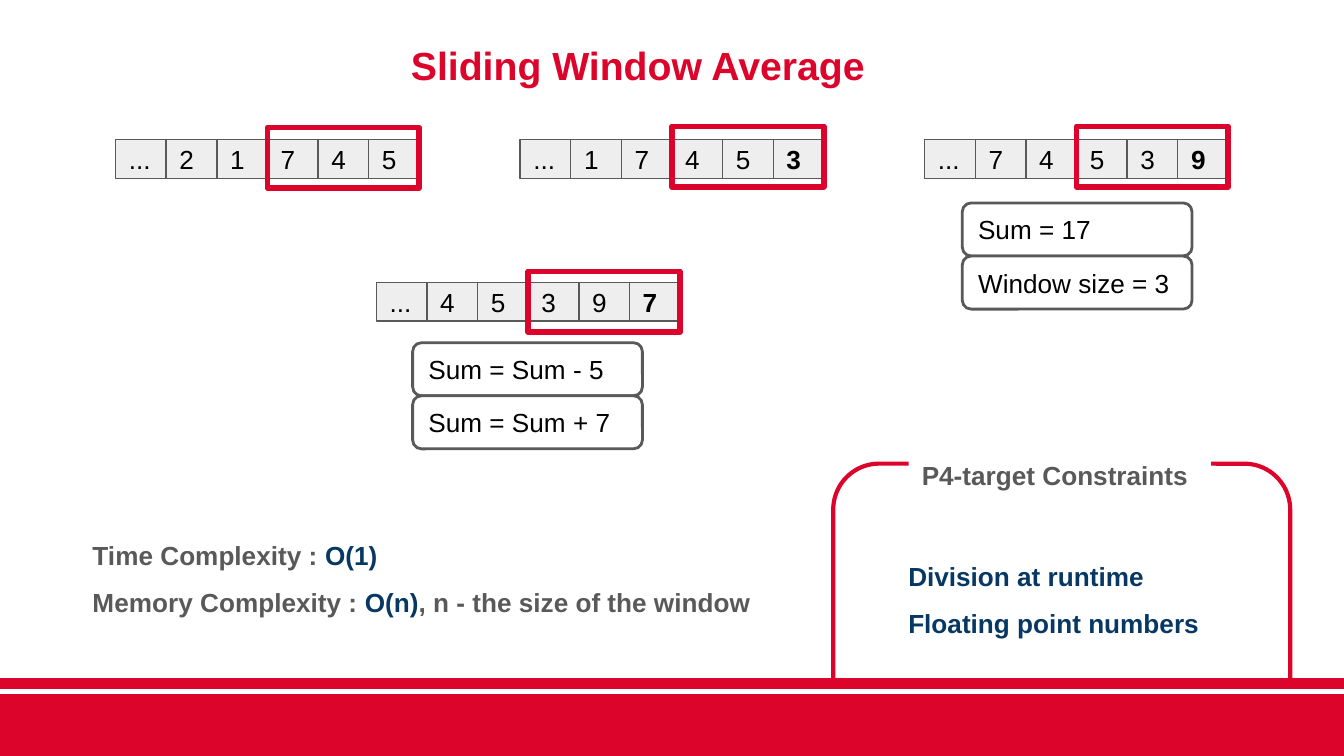
from pptx import Presentation
from pptx.dml.color import RGBColor
from pptx.enum.shapes import MSO_SHAPE
from pptx.enum.text import MSO_ANCHOR, MSO_AUTO_SIZE, PP_ALIGN
from pptx.util import Inches, Pt

RED, GRAY, NAVY = "DD042B", "595959", "073763"
WHITE, BLACK, PALE = "FFFFFF", "000000", "EEEEEE"
CELL = 1.13 / 3
NOTE = 0.79 / 2


def color(value):
    return RGBColor.from_string(value)


def write(para, text, size=14, ink=BLACK, bold=False):
    span = para.add_run()
    span.text = text
    span.font.name = "Arial"
    span.font.size = Pt(size)
    span.font.bold = bold
    span.font.color.rgb = color(ink)


class SlideBuilder:
    def __init__(self, page):
        self.page = page

    def shape(self, left, top, width, height, fill=None, line=None, weight=0.75,
              kind=MSO_SHAPE.RECTANGLE):
        box = self.page.shapes.add_shape(
            kind, Inches(left), Inches(top), Inches(width), Inches(height))
        box.shadow.inherit = False
        if fill:
            box.fill.solid()
            box.fill.fore_color.rgb = color(fill)
        else:
            box.fill.background()
        if line:
            box.line.color.rgb = color(line)
            box.line.width = Pt(weight)
        else:
            box.line.fill.background()
        return box

    def frame(self, box, anchor=MSO_ANCHOR.MIDDLE):
        frame = box.text_frame
        frame.word_wrap = True
        frame.vertical_anchor = anchor
        frame.margin_left = frame.margin_right = Inches(0.1)
        frame.margin_top = frame.margin_bottom = Inches(0.1)
        return frame

    def fill_lines(self, box, lines, spacing=None, **style):
        frame = self.frame(box, MSO_ANCHOR.TOP)
        frame.auto_size = MSO_AUTO_SIZE.SHAPE_TO_FIT_TEXT
        for index, line in enumerate(lines):
            para = frame.add_paragraph() if index else frame.paragraphs[0]
            para.alignment = PP_ALIGN.LEFT
            if spacing:
                para.line_spacing = spacing
            for text, ink in line:
                write(para, text, ink=ink, bold=True, **style)

    def text(self, left, top, width, height, lines, **style):
        box = self.page.shapes.add_textbox(
            Inches(left), Inches(top), Inches(width), Inches(height))
        self.fill_lines(box, lines, **style)

    def label(self, box, text, bold=False):
        para = self.frame(box).paragraphs[0]
        para.alignment = PP_ALIGN.LEFT
        write(para, text, bold=bold)

    def window(self, left, top, values, frame_top, new_value=True):
        last = len(values) - 1
        for index, value in enumerate(values):
            cell = self.shape(left + index * CELL, top, CELL, 0.29, PALE, GRAY)
            self.label(cell, value, new_value and index == last)
        self.shape(left + 3 * CELL, frame_top, 3 * CELL, 0.45, line=RED, weight=3)

    def notes(self, left, top, texts):
        for index, text in enumerate(texts):
            box = self.shape(left, top + index * NOTE, 1.71, NOTE, WHITE, GRAY, 1.5,
                             MSO_SHAPE.ROUNDED_RECTANGLE)
            self.label(box, text)


def main():
    deck = Presentation()
    deck.slide_width = Inches(10)
    deck.slide_height = deck.slide_width * 9 // 16
    page = deck.slides.add_slide(deck.slide_layouts[6])
    builder = SlideBuilder(page)

    builder.shape(6.2, 3.45, 3.4, 2.05, line=RED, weight=2.25,
                  kind=MSO_SHAPE.ROUNDED_RECTANGLE)
    caption = builder.shape(6.76, 3.2, 2.25, 0.44, WHITE)
    builder.fill_lines(caption, [[("P4-target Constraints", GRAY)]], spacing=1.5)
    builder.text(6.66, 3.95, 2.84, 0.79,
                 [[("Division at runtime", NAVY)], [("Floating point numbers", NAVY)]],
                 spacing=1.5)

    for left, top, width, height, fill in (
            (6.1, 5.05, 3.58, 0.21, WHITE),
            (0, 5.17, 10, 0.45, RED),
            (0, 5.05, 10, 0.07, RED)):
        builder.shape(left, top, width, height, fill, fill)

    builder.text(2.96, 0.21, 4.07, 0.56, [[("Sliding Window Average", RED)]], size=21)

    builder.window(0.86, 1.04, ["...", "2", "1", "7", "4", "5"], 0.95, new_value=False)
    builder.window(3.87, 1.04, ["...", "1", "7", "4", "5", "3"], 0.94)
    builder.window(6.88, 1.04, ["...", "7", "4", "5", "3", "9"], 0.94)
    builder.notes(7.16, 1.51, ["Sum = 17", "Window size = 3"])
    builder.window(2.8, 2.1, ["...", "4", "5", "3", "9", "7"], 2.02)
    builder.notes(3.07, 2.55, ["Sum = Sum - 5", "Sum = Sum + 7"])

    builder.text(0.59, 3.8, 5.24, 0.79, [
        [("Time Complexity : ", GRAY), ("O(1)", NAVY)],
        [("Memory Complexity : ", GRAY), ("O(n)", NAVY),
         (", n - the size of the window", GRAY)],
    ], spacing=1.5)

    deck.save("out.pptx")


if __name__ == "__main__":
    main()
